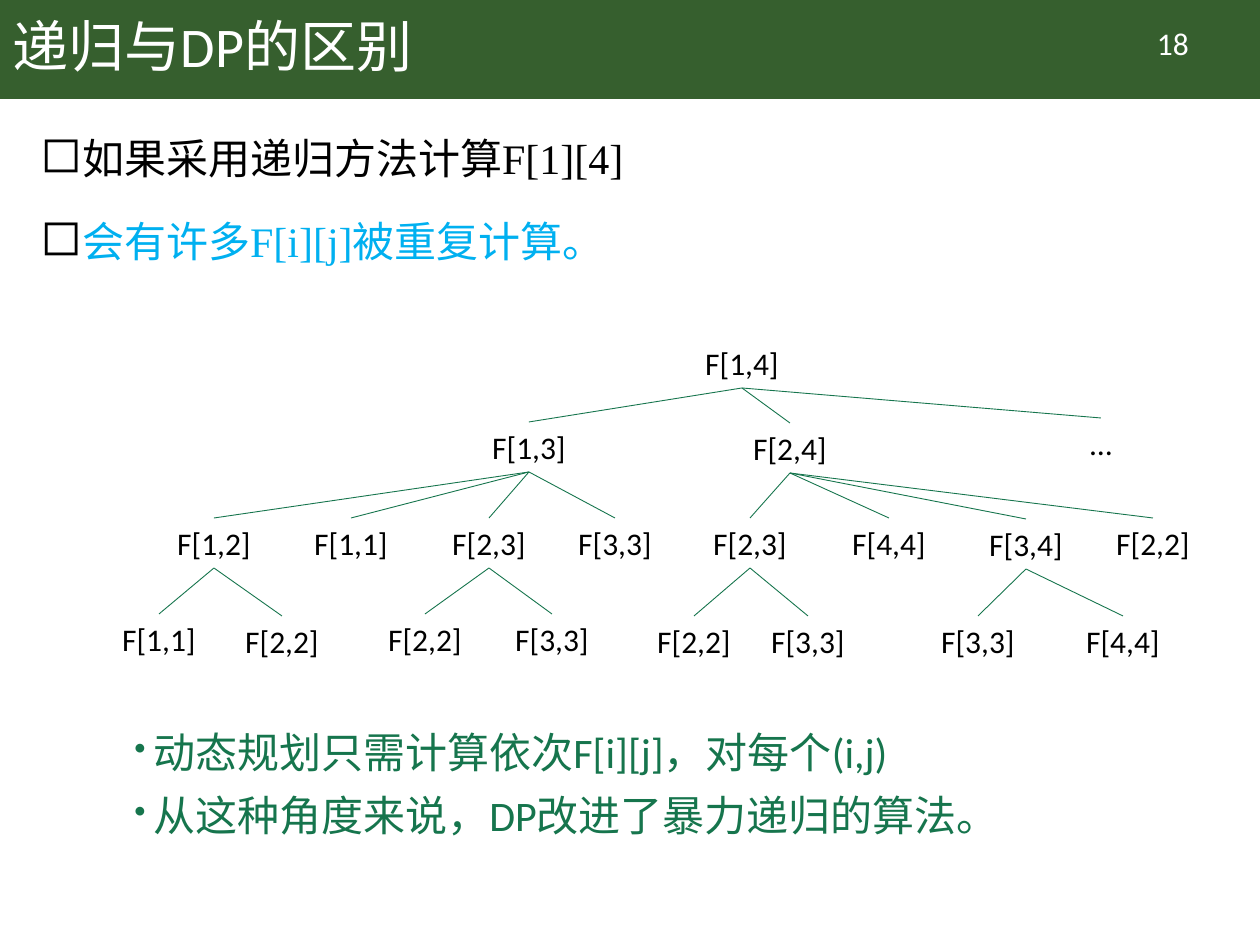
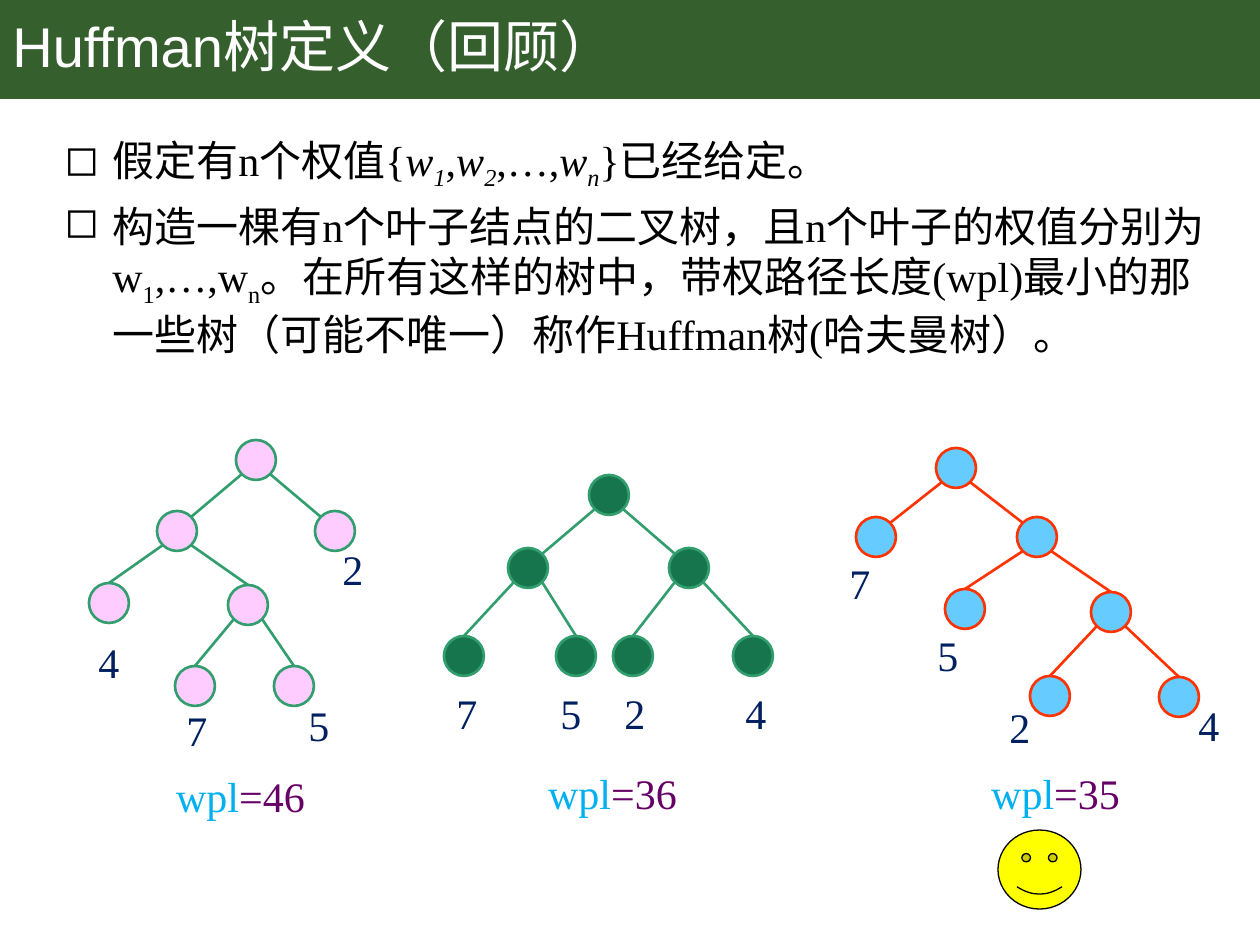
from lxml.etree import SubElement
from pptx import Presentation
from pptx.dml.color import RGBColor
from pptx.enum.shapes import MSO_CONNECTOR, MSO_SHAPE
from pptx.enum.text import MSO_ANCHOR, PP_ALIGN
from pptx.oxml.ns import qn
from pptx.util import Emu, Pt

PIXELS_PER_INCH = 126
SLIDE_WIDTH, SLIDE_HEIGHT = 1260, 945
BAND_HEIGHT = 99

COLORS = {
    "band": "365F2E", "white": "FFFFFF", "black": "000000",
    "green": "16754D", "cyan": "00B0F0", "navy": "002060",
    "purple": "660066", "edge_green": "329E6E", "pink": "FFCCFF",
    "sky": "66CCFF", "orange": "FF3300", "yellow": "FFFF00",
}
CALIBRI, ARIAL, TIMES = "Calibri", "Arial", "Times New Roman"

CALL_WIDTH, CALL_HEIGHT = 152, 50
# Each call: label, centre x, top, calls it makes
CALL_TREE = ("F[1,4]", 742, 338, [
    ("F[1,3]", 529, 422, [
        ("F[1,2]", 214, 518, [("F[1,1]", 159, 614, []), ("F[2,2]", 282, 616, [])]),
        ("F[1,1]", 351, 518, []),
        ("F[2,3]", 489, 518, [("F[2,2]", 425, 614, []), ("F[3,3]", 552, 614, [])]),
        ("F[3,3]", 615, 518, []),
    ]),
    ("F[2,4]", 790, 423, [
        ("F[2,3]", 750, 518, [("F[2,2]", 694, 616, []), ("F[3,3]", 808, 616, [])]),
        ("F[4,4]", 889, 518, []),
        ("F[3,4]", 1026, 519, [("F[3,3]", 978, 616, []), ("F[4,4]", 1123, 616, [])]),
        ("F[2,2]", 1153, 518, []),
    ]),
    ("…", 1101, 418, []),
])

NODE_RADIUS, NODE_DIAGONAL = 20, 14
WEIGHT_INSET = 11
# Node keys are the path from the root: L for left, R for right
HUFFMAN_TREES = [
    {
        "fill": "pink", "line": "edge_green",
        "nodes": {"": (256, 460), "L": (177, 531), "R": (335, 531),
                  "LL": (109, 603), "LR": (248, 605),
                  "LRL": (195, 686), "LRR": (294, 686)},
        "weights": [("2", 330, 533), ("4", 86, 626), ("7", 174, 694), ("5", 296, 689)],
        "total": ("=46", 58, 760, 365),
    },
    {
        "fill": "green", "line": "edge_green",
        "nodes": {"": (609, 495), "L": (528, 568), "R": (689, 568),
                  "LL": (464, 656), "LR": (576, 656),
                  "RL": (633, 656), "RR": (753, 656)},
        "weights": [("7", 444, 677), ("5", 548, 677), ("2", 612, 677), ("4", 733, 677)],
        "total": ("=36", 422, 757, 381),
    },
    {
        "fill": "sky", "line": "orange",
        "nodes": {"": (956, 468), "L": (876, 537), "R": (1037, 537),
                  "RL": (965, 609), "RR": (1111, 612),
                  "RRL": (1050, 696), "RRR": (1179, 697)},
        "weights": [("7", 837, 547), ("5", 925, 619), ("2", 997, 690), ("4", 1186, 689)],
        "total": ("=35", 852, 757, 407),
    },
]


def px(length):
    return Emu(round(length * 914400 / PIXELS_PER_INCH))


def color(name):
    return RGBColor.from_string(COLORS[name])


def format_runs(paragraph, font_name, size, color_name):
    for run in paragraph.runs:
        run.font.name = font_name
        run.font.size = Pt(size)
        run.font.color.rgb = color(color_name)


def add_text_frame(slide, left, top, width, height):
    text_frame = slide.shapes.add_textbox(px(left), px(top), px(width), px(height)).text_frame
    text_frame.word_wrap = True
    return text_frame


def add_label(slide, text, left, top, width, height, font_name, size, color_name):
    """Add one centred line of text and return its box."""
    box = slide.shapes.add_textbox(px(left), px(top), px(width), px(height))
    box.text_frame.word_wrap = True
    box.text_frame.text = text
    paragraph = box.text_frame.paragraphs[0]
    paragraph.alignment = PP_ALIGN.CENTER
    format_runs(paragraph, font_name, size, color_name)
    return box


def set_bullet(paragraph, character, color_name, percent, left, indent):
    properties = paragraph._p.get_or_add_pPr()
    properties.set("marL", str(px(left)))
    properties.set("indent", str(px(indent)))
    bullet_color = SubElement(properties, qn("a:buClr"))
    SubElement(bullet_color, qn("a:srgbClr"), val=COLORS[color_name])
    SubElement(properties, qn("a:buSzPct"), val=str(percent * 1000))
    SubElement(properties, qn("a:buChar"), char=character)


def add_styled_runs(paragraph, parts):
    """Add (text, style) runs; style may hold i for italic and s for subscript."""
    for text, style in parts:
        run = paragraph.add_run()
        run.text = text
        if "i" in style:
            run.font.italic = True
        if "s" in style:
            run._r.get_or_add_rPr().set("baseline", "-25000")


def add_shape(slide, kind, left, top, width, height, fill, line=None, line_width=1.5):
    shape = slide.shapes.add_shape(kind, px(left), px(top), px(width), px(height))
    shape.shadow.inherit = False
    shape.fill.solid()
    shape.fill.fore_color.rgb = color(fill)
    if line:
        shape.line.color.rgb = color(line)
        shape.line.width = Pt(line_width)
    else:
        shape.line.fill.background()
    return shape


def add_line(slide, start, end, color_name, width):
    connector = slide.shapes.add_connector(
        MSO_CONNECTOR.STRAIGHT, *(px(value) for value in (*start, *end)))
    connector.line.color.rgb = color(color_name)
    connector.line.width = Pt(width)
    SubElement(connector._element.spPr, qn("a:effectLst"))
    return connector


def add_titled_slide(presentation, title, font_name):
    slide = presentation.slides.add_slide(presentation.slide_layouts[6])
    add_shape(slide, MSO_SHAPE.RECTANGLE, 0, 0, SLIDE_WIDTH, BAND_HEIGHT, "band")
    text_frame = add_text_frame(slide, 0, 0, 1086, BAND_HEIGHT)
    text_frame.vertical_anchor = MSO_ANCHOR.MIDDLE
    text_frame.text = title
    paragraph = text_frame.paragraphs[0]
    paragraph.line_spacing = 0.9
    format_runs(paragraph, font_name, 32, "white")
    return slide


def add_body(slide):
    return add_text_frame(slide, 28, 111, 1206, 815)


def add_bullet_list(text_frame, items, font_name, line_spacing, bullet):
    """Fill a frame with (text, colour) items that share one bullet style."""
    for index, (text, color_name) in enumerate(items):
        paragraph = text_frame.add_paragraph() if index else text_frame.paragraphs[0]
        paragraph.text = text
        paragraph.line_spacing = line_spacing
        if index:
            paragraph.space_before = Pt(10)
        set_bullet(paragraph, *bullet)
        format_runs(paragraph, font_name, 24, color_name)


def add_call_tree(slide, call):
    """Draw a call and all calls below it; return the box of the call."""
    label, center, top, children = call
    box = add_label(slide, label, center - CALL_WIDTH // 2, top,
                    CALL_WIDTH, CALL_HEIGHT, CALIBRI, 18, "black")
    for child in children:
        child_box = add_call_tree(slide, child)
        connector = add_line(slide, (center, top + CALL_HEIGHT), child[1:3], "green", 0.5)
        connector.begin_connect(box, 2)
        connector.end_connect(child_box, 0)
    return box


def add_huffman_edge(slide, nodes, path, line):
    side = -1 if path[-1] == "L" else 1
    parent_x, parent_y = nodes[path[:-1]]
    child_x, child_y = nodes[path]
    start = parent_x + side * NODE_DIAGONAL, parent_y + NODE_DIAGONAL
    if len(path) == 1:
        end = child_x - side * NODE_DIAGONAL, child_y - NODE_DIAGONAL
    else:
        end = child_x, child_y - NODE_RADIUS
    add_line(slide, start, end, line, 1.5)


def add_huffman_tree(slide, tree):
    nodes, diameter = tree["nodes"], 2 * NODE_RADIUS
    for x, y in nodes.values():
        add_shape(slide, MSO_SHAPE.OVAL, x - NODE_RADIUS, y - NODE_RADIUS,
                  diameter, diameter, tree["fill"], tree["line"])
    for path in filter(None, nodes):
        add_huffman_edge(slide, nodes, path, tree["line"])
    for weight, left, top in tree["weights"]:
        box = add_label(slide, weight, left, top, diameter, 64, TIMES, 24, "navy")
        box.text_frame.margin_top = px(WEIGHT_INSET)

    total, left, top, width = tree["total"]
    box = add_label(slide, "wpl", left, top, width, 63, TIMES, 24, "purple")
    box.text_frame.margin_top = px(WEIGHT_INSET)
    paragraph = box.text_frame.paragraphs[0]
    add_styled_runs(paragraph, [(total, "")])
    format_runs(paragraph, TIMES, 24, "purple")
    paragraph.runs[0].font.color.rgb = color("cyan")


def build_recursion_slide(presentation):
    slide = add_titled_slide(presentation, "递归与DP的区别", CALIBRI)
    add_bullet_list(add_body(slide), [
        ("如果采用递归方法计算F[1][4]", "black"),
        ("会有许多F[i][j]被重复计算。", "cyan"),
    ], TIMES, 1.3, ("◻", "black", 120, 32, -49))
    add_call_tree(slide, CALL_TREE)
    add_bullet_list(add_text_frame(slide, 117, 726, 1021, 130), [
        ("动态规划只需计算依次F[i][j]，对每个(i,j)", "green"),
        ("从这种角度来说，DP改进了暴力递归的算法。", "green"),
    ], CALIBRI, 0.9, ("•", "green", 80, 24, -19))
    add_label(slide, "18", 1097, 18, CALL_WIDTH, CALL_HEIGHT, CALIBRI, 18, "white")


def build_huffman_slide(presentation):
    slide = add_titled_slide(presentation, "Huffman树定义（回顾）", ARIAL)
    text_frame = add_body(slide)
    given, definition = text_frame.paragraphs[0], text_frame.add_paragraph()
    given.line_spacing = 1.3
    definition.line_spacing = 1.0
    definition.space_before = Pt(5)
    add_styled_runs(given, [
        ("假定有n个权值{", ""), ("w", "i"), ("1", "is"), (",", ""),
        ("w", "i"), ("2", "is"), (",…,", ""), ("w", "i"), ("n", "is"),
        ("}已经给定。", ""),
    ])
    add_styled_runs(definition, [
        ("构造一棵有n个叶子结点的二叉树，且n个叶子的权值分别为w", ""),
        ("1", "s"), (",…,w", ""), ("n", "s"),
        ("。在所有这样的树中，带权路径长度(wpl)最小的那一些树"
         "（可能不唯一）称作Huffman树(哈夫曼树）。", ""),
    ])
    for paragraph in (given, definition):
        set_bullet(paragraph, "◻", "black", 100, 72, -48)
        format_runs(paragraph, TIMES, 24, "black")
    for tree in HUFFMAN_TREES:
        add_huffman_tree(slide, tree)
    add_shape(slide, MSO_SHAPE.SMILEY_FACE, 998, 830, 83, 79, "yellow", "black", 0.75)


def main():
    presentation = Presentation()
    presentation.slide_width = px(SLIDE_WIDTH)
    presentation.slide_height = px(SLIDE_HEIGHT)
    build_recursion_slide(presentation)
    build_huffman_slide(presentation)
    presentation.save("out.pptx")


if __name__ == "__main__":
    main()
